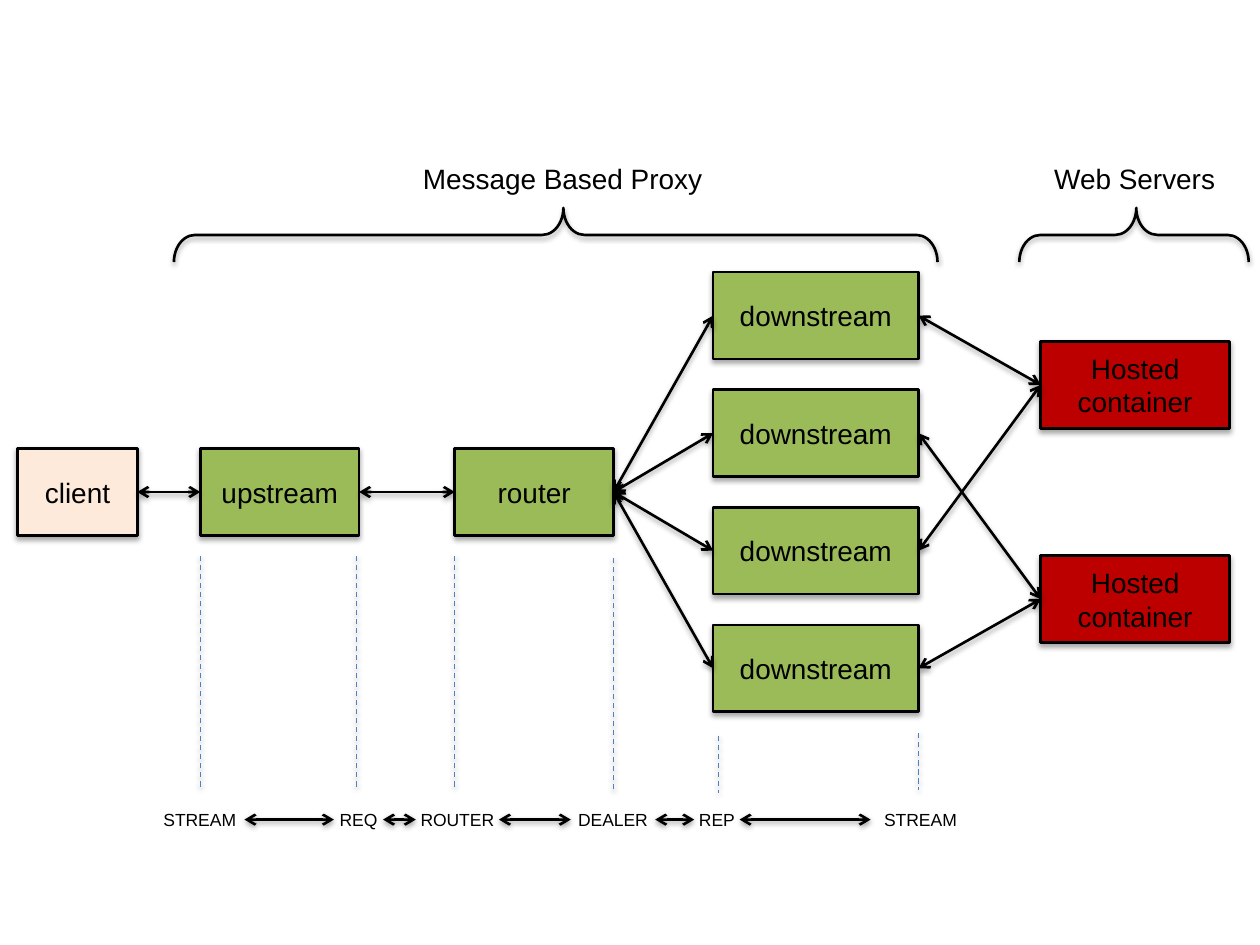
from lxml import etree
from pptx import Presentation, util as u
from pptx.dml.color import RGBColor
from pptx.enum import dml, shapes, text
from pptx.oxml import ns

# The slide is a grid of 100 columns by 75 rows; all positions below are in grid cells.
SLIDE_WIDTH, SLIDE_HEIGHT = u.Inches(10), u.Inches(7.5)
COLUMN, ROW = SLIDE_WIDTH / 100, SLIDE_HEIGHT / 75
BLACK, GREEN, PEACH, RED, BLUE = "000000", "9BBB59", "FDEADA", "BC0000", "4F81BD"
BOX_HEIGHT = 6.9
LEFT_SIDE, RIGHT_SIDE = 1, 3


def colour(value):
    return RGBColor.from_string(value)


def cells(left, top, width, height):
    return [u.Emu(round(n)) for n in
            (left * COLUMN, top * ROW, width * COLUMN, height * ROW)]


def add_shadow(shape, opacity=35, distance=1.8):
    """Give the shape a soft black shadow straight below it."""
    properties = shape._element.spPr
    effects = etree.SubElement(properties, ns.qn("a:effectLst"))
    shadow = etree.SubElement(
        effects, ns.qn("a:outerShdw"), blurRad=str(u.Pt(3.1)), dist=str(u.Pt(distance)),
        dir="5400000", rotWithShape="0")
    tint = etree.SubElement(shadow, ns.qn("a:srgbClr"), val=BLACK)
    etree.SubElement(tint, ns.qn("a:alpha"), val=str(opacity * 1000))


def outline(shape, line_colour=BLACK, width=1.5):
    shape.line.color.rgb = colour(line_colour)
    shape.line.width = u.Pt(width)


def write(shape, words, size):
    frame = shape.text_frame
    frame.word_wrap = True
    frame.text = words
    paragraph = frame.paragraphs[0]
    paragraph.alignment = text.PP_ALIGN.CENTER
    font = paragraph.runs[0].font
    font.name, font.size = "Arial", u.Pt(size)
    font.color.rgb = colour(BLACK)


def add_label(slide, words, box, size, margin=None):
    label = slide.shapes.add_textbox(*cells(*box))
    write(label, words, size)
    if margin is not None:
        frame = label.text_frame
        frame.margin_left = frame.margin_right = margin
        frame.margin_top = frame.margin_bottom = margin


def add_node(slide, words, left, top, width, fill):
    node = slide.shapes.add_shape(
        shapes.MSO_SHAPE.RECTANGLE, *cells(left, top, width, BOX_HEIGHT))
    node.fill.solid()
    node.fill.fore_color.rgb = colour(fill)
    outline(node)
    add_shadow(node)
    write(node, words, 16)
    node.text_frame.vertical_anchor = text.MSO_ANCHOR.MIDDLE
    return node


def add_line(slide, start, end):
    return slide.shapes.add_connector(
        shapes.MSO_CONNECTOR.STRAIGHT, *cells(*start, *end))


def add_arrowheads(line):
    for end in ("a:headEnd", "a:tailEnd"):
        etree.SubElement(line.line._get_or_add_ln(), ns.qn(end), type="arrow")


def link(slide, first, second):
    """Join the right side of one node to the left side of another."""
    line = add_line(slide, (0, 0), (0, 0))
    line.begin_connect(first, RIGHT_SIDE)
    line.end_connect(second, LEFT_SIDE)
    outline(line)
    add_arrowheads(line)
    add_shadow(line)


def add_heading(slide, words, label_box, left, top, width, height):
    """Place a heading over a brace that spans the given box."""
    add_label(slide, words, label_box, 16)
    # The brace is drawn upright, then turned about its centre.
    brace = slide.shapes.add_shape(
        shapes.MSO_SHAPE.LEFT_BRACE,
        *cells(left + (width - height) / 2, top + (height - width) / 2, height, width))
    brace.rotation = 90
    brace.adjustments[0], brace.adjustments[1] = 0.39, 0.49
    brace.fill.background()
    outline(brace)
    add_shadow(brace)


def add_network(slide):
    client = add_node(slide, "client", 1.4, 35.6, 9.5, PEACH)
    upstream = add_node(slide, "upstream", 15.9, 35.6, 12.6, GREEN)
    router = add_node(slide, "router", 36.1, 35.6, 12.6, GREEN)
    workers = [add_node(slide, "downstream", 56.6, 21.6 + 9.33 * i, 16.3, GREEN)
               for i in range(4)]
    servers = [add_node(slide, "Hosted container", 82.6, top, 15, RED)
               for top in (27.1, 44.1)]
    link(slide, client, upstream)
    link(slide, upstream, router)
    for i, worker in enumerate(workers):
        link(slide, router, worker)
        link(slide, worker, servers[i % 2])


def add_protocols(slide, top, height):
    """Lay out the row of socket types, with an arrow in each gap."""
    sockets = [("STREAM", 12.3, 7.1), ("REQ", 26.5, 3.9), ("ROUTER", 33, 6.6),
               ("DEALER", 45.3, 6.7), ("REP", 55.1, 3.6), ("STREAM", 69.1, 7.9)]
    for words, left, width in sockets:
        add_label(slide, words, (left, top, width, height), 10, margin=0)
    middle = top + height / 2
    for (_, left, width), (_, next_left, _) in zip(sockets, sockets[1:]):
        arrow = add_line(slide, (left + width, middle), (next_left, middle))
        outline(arrow)
        add_arrowheads(arrow)
        add_shadow(arrow, 38, 1.6)


def add_guides(slide):
    for x, top, bottom in [(15.9, 44.1, 62.7), (28.3, 44.1, 62.7), (36.1, 44.1, 62.7),
                           (48.7, 44.3, 62.9), (57, 58.4, 62.9), (72.9, 58.2, 62.7)]:
        guide = add_line(slide, (x, top), (x, bottom))
        outline(guide, BLUE, 0.75)
        guide.line.dash_style = dml.MSO_LINE.DASH
        add_shadow(guide, 38, 1.6)


def main():
    presentation = Presentation()
    presentation.slide_width, presentation.slide_height = SLIDE_WIDTH, SLIDE_HEIGHT
    slide = presentation.slides.add_slide(presentation.slide_layouts[6])
    add_heading(slide, "Message Based Proxy", (31.5, 12.3, 26.3, 3.7), 13.8, 16.5, 60.6, 4.3)
    add_heading(slide, "Web Servers", (80.5, 12.3, 19.1, 3.7), 80.9, 16.5, 18.2, 4.3)
    add_network(slide)
    add_protocols(slide, top=64.2, height=1.7)
    add_guides(slide)
    presentation.save("out.pptx")


if __name__ == "__main__":
    main()
